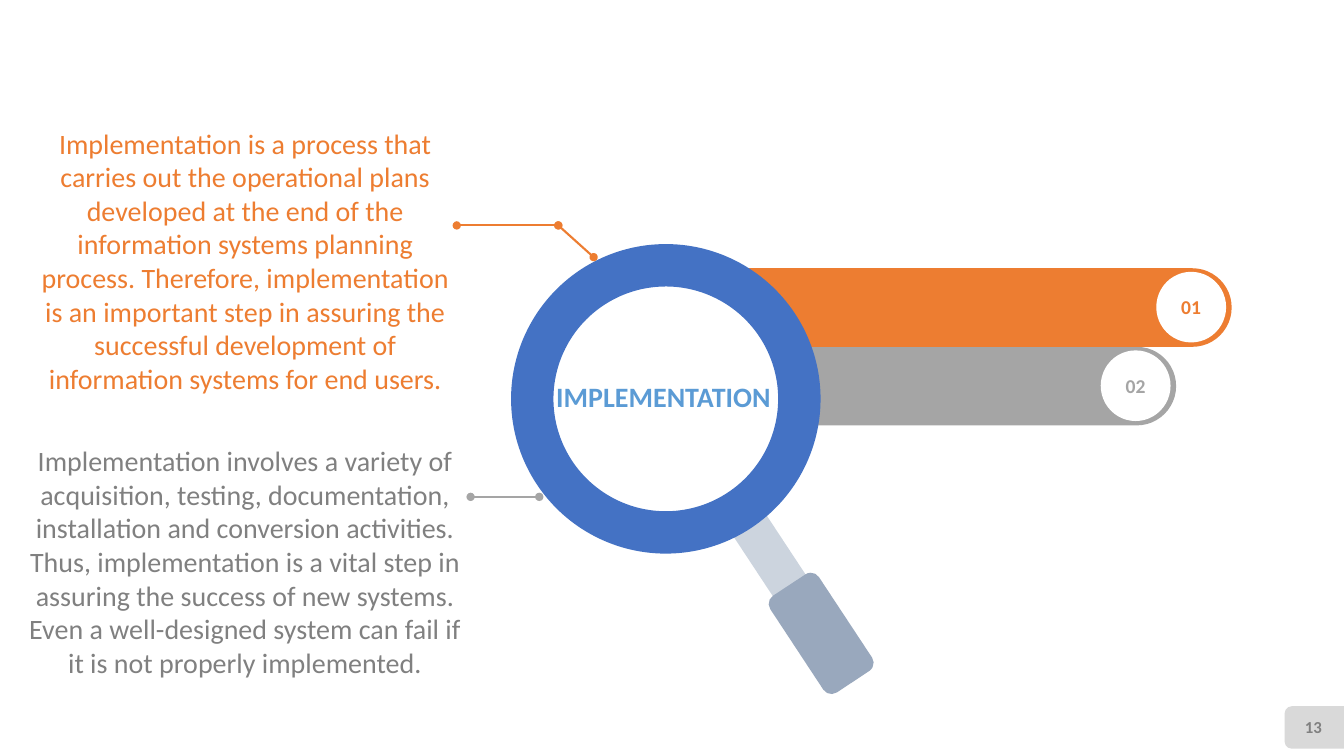
from itertools import pairwise

from lxml import etree
from pptx import Presentation
from pptx import util as u
from pptx.dml.color import RGBColor
from pptx.enum import shapes, text
from pptx.oxml.ns import qn

THEME = {
    "font": "Calibri",
    "white": "FFFFFF",
    "orange": "ED7D31",
    "grey": "A5A5A5",
    "dark_grey": "808080",
    "tab": "D9D9D9",
    "ring": "4472C4",
    "stem": "CCD4DE",
    "handle": "99A8BD",
    "heading": "5B9BD5",
    "body_size": 20,
    "badge_size": 14,
    "page_size": 12,
    "line_width": 1.5,
}
KIND = shapes.MSO_SHAPE
TILT = 326.6


def apply(target, values):
    for key, value in values.items():
        setattr(target, key, value)


class Deck:
    def __init__(self, theme):
        self.theme = theme
        self.file = Presentation()
        apply(self.file, {"slide_width": u.Cm(33.87), "slide_height": u.Cm(19.05)})
        self.slide = self.file.slides.add_slide(self.file.slide_layouts[5])

    def color(self, name):
        return RGBColor.from_string(self.theme[name])

    def place(self, item, box):
        apply(item, dict(zip(("left", "top", "width", "height"), map(u.Cm, box))))

    def label(self, item, words, size, color, bold=False, wrap=True,
              anchor=text.MSO_ANCHOR.MIDDLE):
        frame = item.text_frame
        frame.text = words
        apply(frame, {
            "margin_left": 0, "margin_top": 0, "margin_right": 0, "margin_bottom": 0,
            "auto_size": text.MSO_AUTO_SIZE.NONE,
            "word_wrap": wrap, "vertical_anchor": anchor,
        })
        paragraph = frame.paragraphs[0]
        paragraph.alignment = text.PP_ALIGN.CENTER
        font = paragraph.runs[0].font
        apply(font, {"name": self.theme["font"], "size": u.Pt(self.theme[size]), "bold": bold})
        font.color.rgb = self.color(color)

    def shape(self, kind, box, color, rotation=0, adjust=None):
        item = self.slide.shapes.add_shape(kind, *map(u.Cm, box))
        item.shadow.inherit = False
        item.rotation = rotation
        item.fill.solid()
        item.fill.fore_color.rgb = self.color(color)
        item.line.fill.background()
        if adjust is not None:
            item.adjustments[0] = adjust
        return item

    def textbox(self, words, box, size, color, bold=False):
        item = self.slide.shapes.add_textbox(*map(u.Cm, box))
        self.label(item, words, size, color, bold)

    def title(self, words, box, color):
        heading = self.slide.shapes.title
        self.place(heading, box)
        self.label(heading, words, "body_size", color, bold=True, wrap=False,
                   anchor=text.MSO_ANCHOR.TOP)
        self.slide.shapes.element.append(heading.element)

    def pointer(self, points, color):
        segments = []
        for start, end in pairwise(points):
            segment = self.slide.shapes.add_connector(
                shapes.MSO_CONNECTOR.STRAIGHT, *map(u.Cm, start + end))
            segment.line.width = u.Pt(self.theme["line_width"])
            segment.line.color.rgb = self.color(color)
            properties = segment.element.spPr
            outline = properties.find(qn("a:ln"))
            for tip in ("a:headEnd", "a:tailEnd"):
                etree.SubElement(outline, qn(tip), type="oval")
            etree.SubElement(properties, qn("a:effectLst"))
            segments.append(segment)
        if len(segments) > 1:
            self.group(segments)

    def group(self, parts):
        self.slide.shapes.add_group_shape(parts)


def main():
    deck = Deck(THEME)

    deck.shape(KIND.ROUND_2_SAME_RECTANGLE, (32.59, 17.58, 1.07, 1.5), "tab", rotation=270)
    deck.textbox("13", (32.39, 17.81, 1.42, 1.02), "page_size", "dark_grey", bold=True)

    bar_left, bar_top, bar_height = 17.78, 6.76, 1.98
    bars = [("01", 13.26, "orange"), ("02", 11.86, "grey")]
    rows = [(number, width, color, bar_top + index * bar_height)
            for index, (number, width, color) in enumerate(bars)]
    for number, width, color, top in reversed(rows):
        deck.shape(KIND.ROUNDED_RECTANGLE, (bar_left, top, width, bar_height), color, adjust=0.5)

    deck.group([
        deck.shape(KIND.OVAL, (13.13, 6.38, 7.32, 7.32), "white"),
        deck.shape(KIND.RECTANGLE, (18.92, 12.19, 0.99, 3.68), "stem", TILT),
        deck.shape(KIND.ROUNDED_RECTANGLE, (19.96, 14.5, 1.47, 2.92), "handle", TILT),
        deck.shape(KIND.DONUT, (12.88, 6.15, 7.8, 7.8), "ring", TILT, 0.137),
    ])

    for number, width, color, top in rows:
        badge = deck.shape(KIND.OVAL, (bar_left + width - 1.9, top + 0.09, 1.76, 1.78), "white")
        deck.label(badge, number, "badge_size", color, bold=True)

    deck.pointer([(14.96, 6.48), (14.07, 5.68), (11.51, 5.68)], "orange")
    deck.pointer([(13.59, 12.52), (11.86, 12.52)], "grey")

    deck.textbox(
        "Implementation involves a variety of acquisition, testing, documentation, "
        "installation and conversion activities. Thus, implementation is a vital step in "
        "assuring the success of new systems. Even a well-designed system can fail if it "
        "is not properly implemented.",
        (0.56, 11.15, 11.23, 5.99), "body_size", "dark_grey")
    deck.textbox(
        "Implementation is a process that carries out the operational plans developed at "
        "the end of the information systems planning process. Therefore, implementation "
        "is an important step in assuring the successful development of information "
        "systems for end users.",
        (0.86, 3.15, 10.64, 6.83), "body_size", "orange")
    deck.title("IMPLEMENTATION", (14, 9.55, 5.44, 1.7), "heading")

    deck.file.save("out.pptx")


if __name__ == "__main__":
    main()
